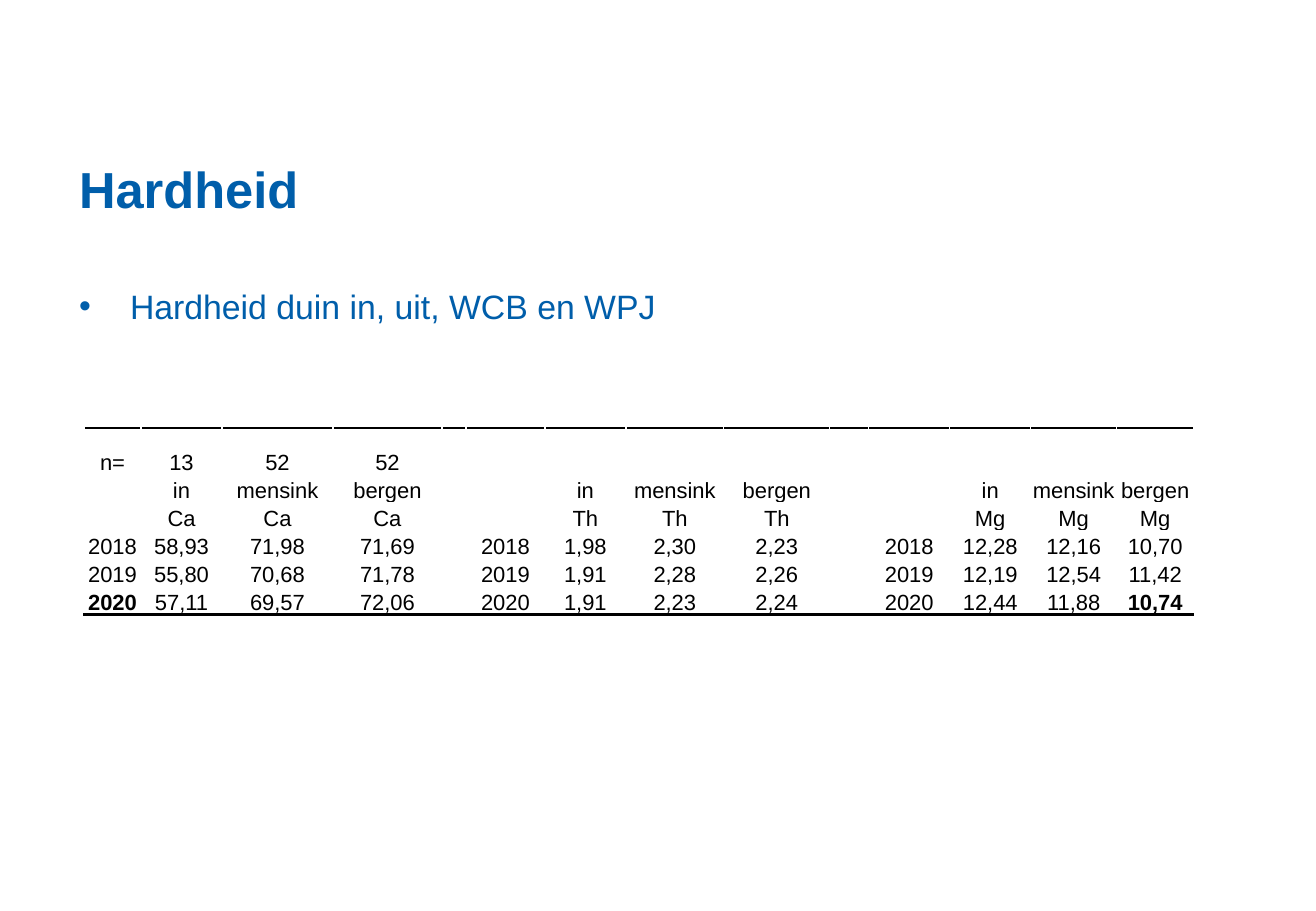
from lxml import etree
from pptx import Presentation
from pptx.dml.color import RGBColor
from pptx.enum.text import MSO_ANCHOR, PP_ALIGN
from pptx.oxml.ns import qn
from pptx.util import Pt

TITLE = "Hardheid"
BULLET = "Hardheid duin in, uit, WCB en WPJ"
SITES = ["in", "mensink", "bergen"]
COUNTS = ["13", "52", "52"]
YEARS = ["2018", "2019", "2020"]
MEASURES = {
    "Ca": [["58,93", "71,98", "71,69"], ["55,80", "70,68", "71,78"], ["57,11", "69,57", "72,06"]],
    "Th": [["1,98", "2,30", "2,23"], ["1,91", "2,28", "2,26"], ["1,91", "2,23", "2,24"]],
    "Mg": [["12,28", "12,16", "10,70"], ["12,19", "12,54", "11,42"], ["12,44", "11,88", "10,74"]],
}
COLUMN_WIDTHS = [57, 81, 111, 109, 24, 79, 81, 98, 106, 39, 81, 81, 86, 77]
ROW_HEIGHTS = [47, 28, 28, 28, 28, 28]
GROUP_STEP = 5

PX = 7526
FONT = "Arial"
BLUE = RGBColor(0x00, 0x5E, 0xAA)
BLACK = RGBColor(0x00, 0x00, 0x00)
WHITE = RGBColor(0xFF, 0xFF, 0xFF)
BOTTOM = MSO_ANCHOR.BOTTOM
TOP = MSO_ANCHOR.TOP
CENTER = PP_ALIGN.CENTER


def px(length):
    return length * PX


def style(para, size, color, bold=False):
    para.font.name = FONT
    para.font.size = Pt(size)
    para.font.color.rgb = color
    para.font.bold = bold


def add_text(page, top, height, text, anchor):
    frame = page.shapes.add_textbox(px(66), px(top), px(1185), px(height)).text_frame
    frame.word_wrap = True
    frame.vertical_anchor = anchor
    frame.margin_left = frame.margin_right = px(13)
    frame.margin_top = frame.margin_bottom = px(7)
    para = frame.paragraphs[0]
    para.text = text
    return para


def add_bullet(para, indent):
    properties = para._p.get_or_add_pPr()
    properties.set("marL", str(px(indent)))
    properties.set("indent", str(-px(indent)))
    etree.SubElement(properties, qn("a:buFont"), typeface=FONT)
    etree.SubElement(properties, qn("a:buChar"), char="•")


def add_border(cell, side):
    line = etree.Element(qn(side), w=str(Pt(2)))
    fill = etree.SubElement(line, qn("a:solidFill"))
    etree.SubElement(fill, qn("a:srgbClr"), val=str(BLACK))
    cell._tc.get_or_add_tcPr().insert(0, line)


def table_rows():
    rows = [[""] * len(COLUMN_WIDTHS) for height in ROW_HEIGHTS]
    rows[0][:4] = ["n="] + COUNTS
    for group, (measure, results) in enumerate(MEASURES.items()):
        start = group * GROUP_STEP
        block = [[""] + SITES, [""] + [measure] * len(SITES)]
        block += [[year] + values for year, values in zip(YEARS, results)]
        for row, values in zip(rows[1:], block):
            row[start:start + len(values)] = values
    return rows


def fill_cell(cell, text, bold):
    cell.fill.solid()
    cell.fill.fore_color.rgb = WHITE
    cell.vertical_anchor = BOTTOM
    cell.margin_left = cell.margin_right = cell.margin_top = px(1)
    cell.margin_bottom = 0
    para = cell.text_frame.paragraphs[0]
    para.text = text
    para.alignment = CENTER
    style(para, 13, BLACK, bold)
    if not text:
        etree.SubElement(para._p, qn("a:endParaRPr"), sz="1300")


def add_results(page):
    rows = table_rows()
    last_row, last_column = len(ROW_HEIGHTS) - 1, len(COLUMN_WIDTHS) - 1
    table = page.shapes.add_table(
        len(ROW_HEIGHTS), len(COLUMN_WIDTHS), px(84), px(428),
        px(sum(COLUMN_WIDTHS)), px(sum(ROW_HEIGHTS))).table
    table.first_row = table.horz_banding = False
    for column, width in zip(table.columns, COLUMN_WIDTHS):
        column.width = px(width)
    for row, height in zip(table.rows, ROW_HEIGHTS):
        row.height = px(height)
    for r, values in enumerate(rows):
        for c, text in enumerate(values):
            cell = table.cell(r, c)
            fill_cell(cell, text, r == last_row and c in (0, last_column))
            if r == 0:
                add_border(cell, "a:lnT")
            if r == last_row:
                add_border(cell, "a:lnB")


def main():
    deck = Presentation()
    deck.slide_width, deck.slide_height = px(1316), px(911)
    page = deck.slides.add_slide(deck.slide_layouts[6])
    style(add_text(page, 74, 152, TITLE, BOTTOM), 30, BLUE, True)
    para = add_text(page, 279, 512, BULLET, TOP)
    add_bullet(para, 51)
    style(para, 20, BLUE)
    add_results(page)
    deck.save("out.pptx")


if __name__ == "__main__":
    main()
